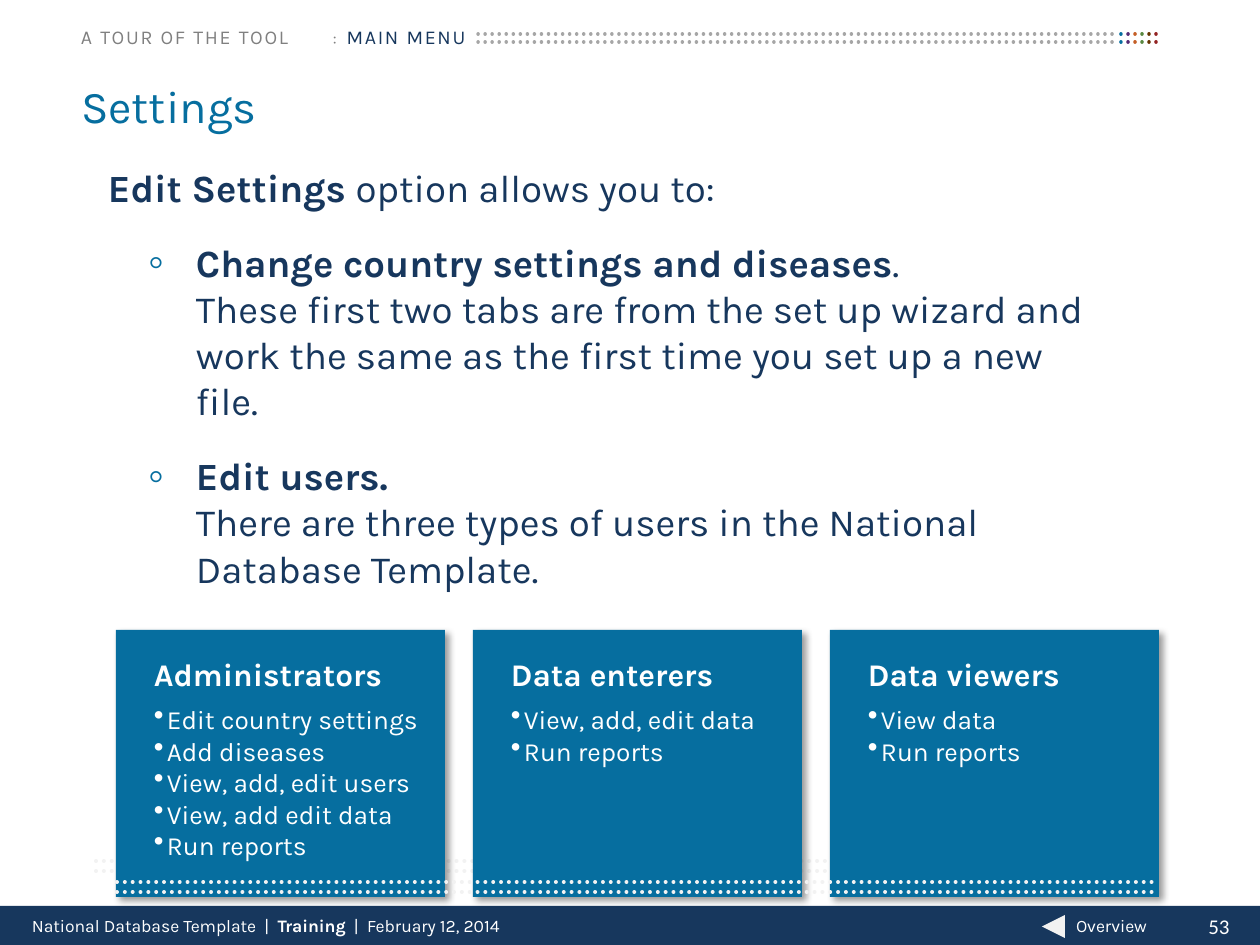
from lxml.etree import SubElement
from pptx import Presentation
from pptx.dml.color import RGBColor
from pptx.enum.dml import MSO_LINE
from pptx.enum.shapes import MSO_CONNECTOR, MSO_SHAPE as SHAPE
from pptx.enum.text import MSO_ANCHOR as ANCHOR, MSO_AUTO_SIZE as FIT, PP_ALIGN as ALIGN
from pptx.oxml.ns import qn
from pptx.util import Emu, Pt

COLORS = {
    "navy": "17375D", "blue": "066E9F", "purple": "562B73", "orange": "C55F27",
    "green": "598841", "brown": "663300", "red": "932323", "gray": "A6A6A6",
    "label": "808080", "pale": "F2F2F2", "white": "FFFFFF", "black": "000000",
}
ACCENTS = ["blue", "purple", "orange", "green", "brown", "red"]
USERS = {
    "Administrators": ["Edit country settings", "Add diseases", "View, add, edit users",
                       "View, add edit data", "Run reports"],
    "Data enterers": ["View, add, edit data", "Run reports"],
    "Data viewers": ["View data", "Run reports"],
}
OPTIONS = [
    ("Change country settings and diseases", ".\nThese first two tabs are from the set up wizard "
     "and work the same as the first time you set up a new file.", 12),
    ("Edit users.", "\nThere are three types of users in the National Database Template.", 0),
]


def px(length):
    return Emu(round(length * 914400 / 126))


def rgb(name):
    return RGBColor.from_string(COLORS[name])


def add_text(paragraph, text, size=10, color="white", bold=False, font="Karla",
             spacing=None, small_caps=False):
    for index, line in enumerate(text.split("\n")):
        if index:
            paragraph.add_line_break()
        if not line:
            continue
        run = paragraph.add_run()
        run.text = line
        run.font.size, run.font.name, run.font.bold = Pt(size), font, bold
        run.font.color.rgb = rgb(color)
        properties = run.font._element
        if spacing:
            properties.set("spc", str(spacing * 100))
        if small_caps:
            properties.set("cap", "small")


class SlideBuilder:
    """Draws styled elements on one slide, measured in px."""

    def __init__(self, slide):
        self.slide = slide
        self.shapes = slide.shapes

    def place(self, shape, left, top, width, height):
        shape.left, shape.top, shape.width, shape.height = map(px, (left, top, width, height))

    def frame(self, shape, insets=(13, 6, 13, 6), anchor=ANCHOR.TOP):
        frame = shape.text_frame
        frame.word_wrap, frame.auto_size, frame.vertical_anchor = True, FIT.NONE, anchor
        (frame.margin_left, frame.margin_top,
         frame.margin_right, frame.margin_bottom) = map(px, insets)
        return frame

    def paragraph(self, frame, first=False, before=0, after=0, margin=0, indent=0,
                  bullet=None, bullet_size=100, bullet_color="white", align=ALIGN.LEFT):
        paragraph = frame.paragraphs[0] if first else frame.add_paragraph()
        paragraph.alignment = align
        paragraph.space_before, paragraph.space_after = Pt(before), Pt(after)
        properties = paragraph._p.get_or_add_pPr()
        properties.set("marL", str(px(margin)))
        properties.set("indent", str(px(indent)))
        if bullet:
            color = SubElement(properties, qn("a:buClr"))
            SubElement(color, qn("a:srgbClr"), val=COLORS[bullet_color])
            SubElement(properties, qn("a:buSzPct"), val=str(bullet_size * 1000))
            SubElement(properties, qn("a:buChar"), char=bullet)
        else:
            SubElement(properties, qn("a:buNone"))
        return paragraph

    def box(self, kind, left, top, width, height, fill, rotation=0):
        shape = self.shapes.add_shape(kind, *map(px, (left, top, width, height)))
        shape.rotation = rotation
        shape.shadow.inherit = False
        shape.fill.solid()
        shape.fill.fore_color.rgb = rgb(fill)
        shape.line.fill.background()
        return shape

    def dots(self, left, right, y, color, weight):
        row = self.shapes.add_connector(MSO_CONNECTOR.STRAIGHT, px(left), px(y), px(right), px(y))
        row.line.color.rgb = rgb(color)
        row.line.width = Pt(weight)
        row.line.dash_style = MSO_LINE.ROUND_DOT
        properties = row.element.spPr
        properties.find(qn("a:ln")).set("cap", "rnd")
        SubElement(properties, qn("a:effectLst"))

    def label(self, left, top, width, height, *parts, align=ALIGN.LEFT, font="Karla", size=10):
        label = self.shapes.add_textbox(*map(px, (left, top, width, height)))
        paragraph = self.paragraph(self.frame(label, anchor=ANCHOR.MIDDLE), first=True, align=align)
        for text, bold in parts:
            add_text(paragraph, text, size=size, bold=bold, font=font)

    def title(self, text):
        title = self.shapes.title
        self.place(title, 81, 73, 1065, 86)
        frame = self.frame(title, (0, 5, 13, 6))
        add_text(self.paragraph(frame, first=True), text, size=26, color="blue")

    def options(self, lead, rest, items):
        body = self.slide.placeholders[1]
        self.place(body, 95, 158, 1018, 546)
        frame = self.frame(body)
        intro = self.paragraph(frame, first=True, before=4.4, after=12)
        add_text(intro, lead, size=22, color="navy", bold=True)
        add_text(intro, rest, size=22, color="navy")
        for name, detail, after in items:
            option = self.paragraph(frame, before=4.4, after=after, margin=88, indent=-48,
                                    bullet="◦", bullet_size=120, bullet_color="blue")
            add_text(option, name, size=22, color="navy", bold=True)
            add_text(option, detail, size=22, color="navy")

    def breadcrumb(self, section, page):
        crumb = self.box(SHAPE.RECTANGLE, 81, 14, 392, 42, "white")
        paragraph = self.paragraph(self.frame(crumb, (0, 6, 0, 6), ANCHOR.MIDDLE),
                                   first=True, before=2.8)
        stops = SubElement(paragraph._p.pPr, qn("a:tabLst"))
        SubElement(stops, qn("a:tab"), pos=str(px(247)), algn="l")
        style = {"spacing": 1, "small_caps": True}
        add_text(paragraph, section + "\t", size=14, color="label", **style)
        add_text(paragraph, ":", size=12, color="label", **style)
        add_text(paragraph, " " + page, size=14, color="navy", **style)

    def card(self, left, heading, rights):
        card = self.box(SHAPE.RECTANGLE, left, 630, 329, 267, "blue")
        effects = card.element.spPr.find(qn("a:effectLst"))
        shadow = SubElement(effects, qn("a:outerShdw"), blurRad=str(Pt(4)), dist=str(Pt(3)),
                            dir="2700000", algn="tl", rotWithShape="0")
        tint = SubElement(shadow, qn("a:srgbClr"), val=COLORS["black"])
        SubElement(tint, qn("a:alpha"), val="40000")
        frame = self.frame(card, (38, 25, 25, 0))
        add_text(self.paragraph(frame, first=True, after=6), heading, size=18, bold=True)
        for right in rights:
            entry = self.paragraph(frame, margin=13, indent=-13, bullet="•", bullet_size=110)
            add_text(entry, right, size=15)


def main():
    deck = Presentation()
    deck.slide_width, deck.slide_height = px(1260), px(945)
    page = SlideBuilder(deck.slides.add_slide(deck.slide_layouts[1]))

    page.box(SHAPE.RECTANGLE, 0, 906, 1260, 39, "navy")
    for y in (34, 42):
        page.dots(147, 1118, y, "gray", 2)
        for index, accent in enumerate(ACCENTS):
            end = 1125 + 7 * index
            page.dots(end - 4, end, y, accent, 2)
    page.label(1178, 907, 82, 38, ("53", False), align=ALIGN.CENTER, font="Calibri", size=12)
    page.box(SHAPE.ISOSCELES_TRIANGLE, 1042, 915, 23, 23, "pale", rotation=270)
    page.label(1063, 908, 118, 34, ("Overview", False))
    page.label(19, 908, 822, 34, ("National Database Template  |  ", False),
               ("Training", True), ("  |  February 12, 2014", False))

    page.options("Edit Settings ", "option allows you to:", OPTIONS)
    page.title("Settings")
    page.breadcrumb("a tour of the tool", "main menu")
    for y in (871, 861):
        page.dots(96, 1135, y, "pale", 2.25)
    for index, (heading, rights) in enumerate(USERS.items()):
        page.card(116 + 357 * index, heading, rights)
    for y in (892, 882):
        page.dots(117, 1157, y, "pale", 2.25)
    deck.save("out.pptx")


if __name__ == "__main__":
    main()
